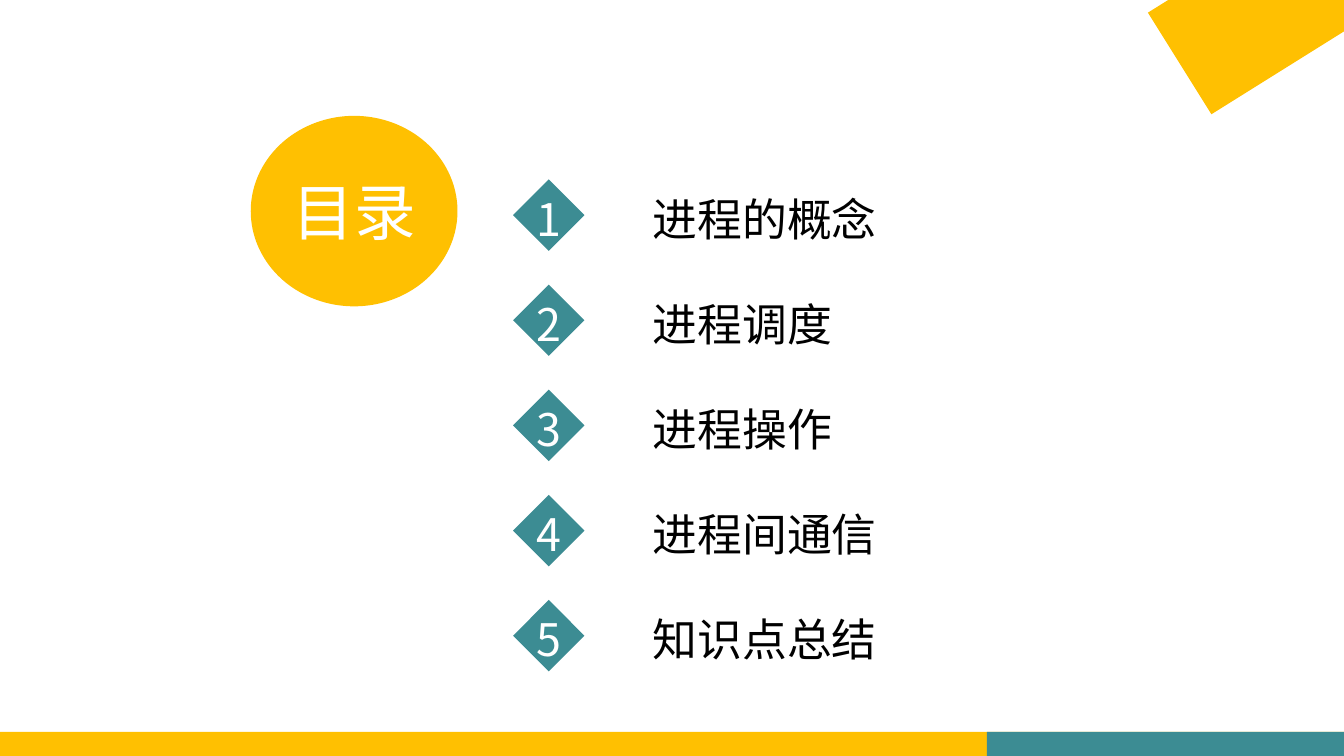
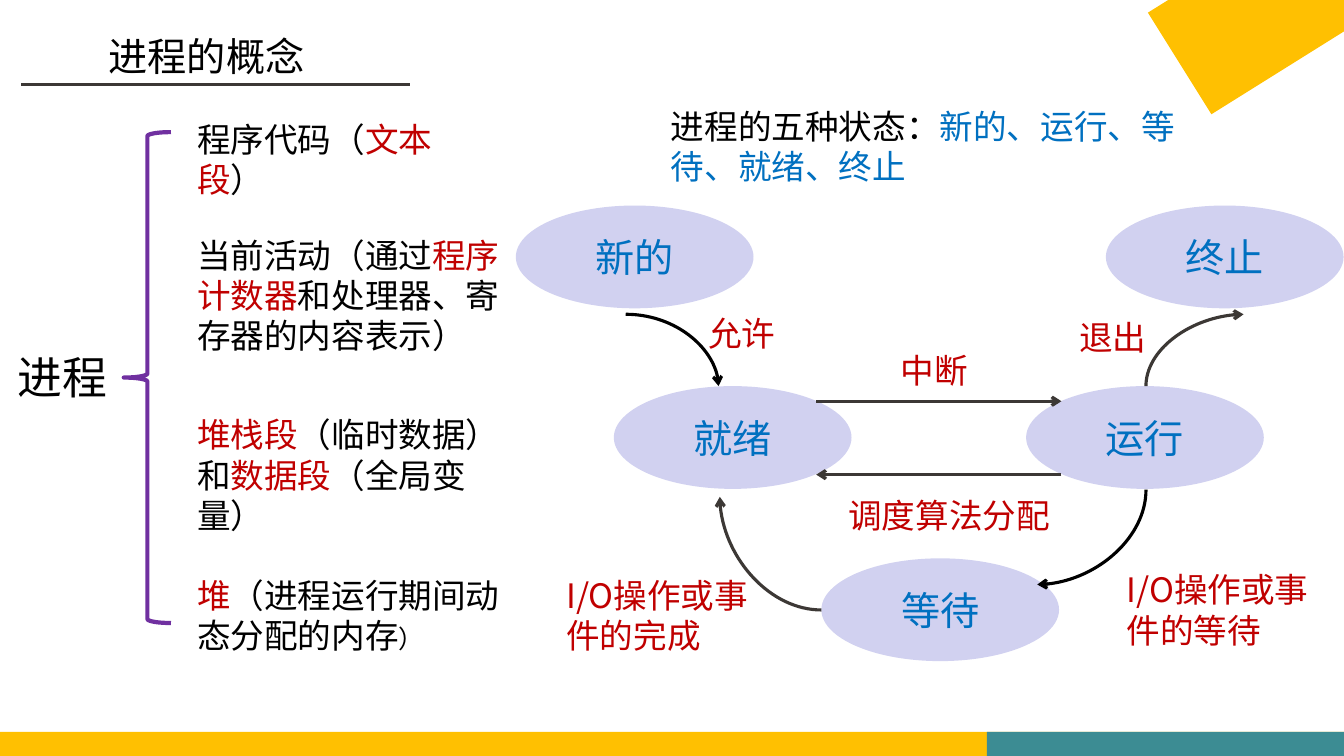
from lxml import etree
from pptx import Presentation
from pptx.dml.color import RGBColor
from pptx.enum import shapes, text
from pptx.oxml import ns
from pptx.util import Cm, Pt

GOLD = RGBColor(0xFF, 0xC0, 0x01)
TEAL = RGBColor(0x3C, 0x8C, 0x93)
LILAC = RGBColor(0xD1, 0xD1, 0xF0)
PURPLE = RGBColor(0x70, 0x30, 0xA0)
GREY = RGBColor(0x3C, 0x38, 0x35)
RED = RGBColor(0xC0, 0x00, 0x00)
BLUE = RGBColor(0x00, 0x70, 0xC0)
BLACK = RGBColor(0x00, 0x00, 0x00)
WHITE = RGBColor(0xFF, 0xFF, 0xFF)
FONT = "Noto Sans CJK SC"
KIND = shapes.MSO_SHAPE
WIDTH, HEIGHT = 33.87, 19.05

TOPICS = ["进程的概念", "进程调度", "进程操作", "进程间通信", "知识点总结"]
TOPIC_TOP, TOPIC_STEP, DIAMOND = 4.52, 2.65, 1.8

PARTS = [
    (2.87, 7.98, 2.31, [("程序代码（", BLACK), ("文本段", RED), ("）", BLACK)]),
    (5.79, 8.53, 3.33, [("当前活动（通过", BLACK), ("程序计数器", RED),
                        ("和处理器、寄存器的内容表示）", BLACK)]),
    (10.31, 8.28, 3.33, [("堆栈段", RED), ("（临时数据）和", BLACK),
                         ("数据段", RED), ("（全局变量）", BLACK)]),
    (14.35, 8.28, 2.31, [("堆", RED), ("（进程运行期间动态分配的内存", BLACK),
                         ("）", BLACK, 18)]),
]
INTRO = [("进程的五种状态：", BLACK), ("新的、运行、等待、就绪、终止", BLUE)]
STATES = [("新的", 13, 5.18), ("终止", 27.87, 5.18), ("运行", 25.86, 9.73),
          ("就绪", 15.47, 9.73), ("等待", 20.7, 14.07)]
STATE_SIZE = (5.99, 2.59)
CURVES = [
    ((15.77, 7.92), (18.11, 9.73), 0, BLACK),
    ((28.88, 12.34), (26.14, 14.73), 90, BLACK),
    ((20.7, 15.37), (18.14, 12.52), 180, GREY),
    ((28.88, 9.73), (31.34, 7.92), 270, GREY),
]
ARROWS = [((20.57, 10.11), (26.75, 10.11)), ((26.75, 11.96), (20.57, 11.96))]
LABELS = [
    ("允许", 17.6, 7.77, 2.31, 1.27),
    ("中断", 22.45, 8.69, 2.31, 1.27),
    ("调度算法分配", 21.13, 12.34, 6.15, 1.27),
    ("退出", 26.95, 7.85, 2.31, 1.27),
    ("I/O操作或事件的完成", 14.02, 14.35, 5.44, 2.31),
    ("I/O操作或事件的等待", 28.14, 14.22, 5.44, 2.31),
]


def write(sp, content, size=24, color=BLACK, font=FONT, center=False, tab=None):
    tf = sp.text_frame
    tf.word_wrap = not center
    tf.vertical_anchor = text.MSO_ANCHOR.MIDDLE if center else text.MSO_ANCHOR.TOP
    p = tf.paragraphs[0]
    p.alignment = text.PP_ALIGN.CENTER if center else text.PP_ALIGN.LEFT
    if tab:
        tabs = etree.SubElement(p._p.get_or_add_pPr(), ns.qn("a:tabLst"))
        etree.SubElement(tabs, ns.qn("a:tab"), pos=str(Cm(tab)), algn="l")
    runs = [(content, color)] if isinstance(content, str) else content
    for words, run_color, *own_size in runs:
        r = p.add_run()
        r.text = words
        r.font.size = Pt(own_size[0] if own_size else size)
        r.font.color.rgb = run_color
        r.font.name = font
        etree.SubElement(r._r.get_or_add_rPr(), ns.qn("a:ea"), typeface=FONT)


def add_text(slide, box, content, **style):
    write(slide.shapes.add_textbox(*map(Cm, box)), content, **style)


def add_shape(slide, kind, box, fill=None, line=None):
    sp = slide.shapes.add_shape(kind, *map(Cm, box))
    sp.shadow.inherit = False
    if fill is None:
        sp.fill.background()
    else:
        sp.fill.solid()
        sp.fill.fore_color.rgb = fill
    if line is None:
        sp.line.fill.background()
    else:
        sp.line.color.rgb = line
        sp.line.width = Pt(3)
    return sp


def add_line(slide, start, end, color=GREY, arrow=True, turn=None):
    kind = shapes.MSO_CONNECTOR.STRAIGHT
    if turn is not None:
        kind = shapes.MSO_CONNECTOR.CURVE
        w, h = abs(end[0] - start[0]), abs(end[1] - start[1])
        if turn % 180:
            w, h = h, w
        cx, cy = (start[0] + end[0]) / 2, (start[1] + end[1]) / 2
        start, end = (cx - w / 2, cy - h / 2), (cx + w / 2, cy + h / 2)
    line = slide.shapes.add_connector(kind, *map(Cm, start + end))
    line.line.color.rgb = color
    line.line.width = Pt(2.25)
    props = line._element.spPr
    if turn is not None:
        props.find(ns.qn("a:prstGeom")).set("prst", "curvedConnector2")
        props.find(ns.qn("a:xfrm")).set("rot", str(turn * 60000))
    if arrow:
        etree.SubElement(line.line._get_or_add_ln(), ns.qn("a:tailEnd"), type="arrow")
    etree.SubElement(props, ns.qn("a:effectLst"))


def add_slide(prs):
    slide = prs.slides.add_slide(prs.slide_layouts[6])
    band_top, teal_left = 18.44, 24.87
    band_height = HEIGHT - band_top
    add_shape(slide, KIND.RECTANGLE, (0, band_top, WIDTH, band_height), GOLD)
    add_shape(slide, KIND.RECTANGLE,
              (teal_left, band_top, WIDTH - teal_left, band_height), TEAL)
    add_shape(slide, KIND.RECTANGLE, (29.34, -1.27, 5.13, 3.02), GOLD).rotation = 328
    return slide


def build_contents(prs):
    slide = add_slide(prs)
    circle = add_shape(slide, KIND.OVAL, (6.32, 2.92, 5.21, 4.8), GOLD)
    write(circle, "目录", size=44, color=WHITE, font="Arial", center=True)
    for i, topic in enumerate(TOPICS):
        top = TOPIC_TOP + i * TOPIC_STEP
        add_shape(slide, KIND.DIAMOND, (12.93, top, DIAMOND, DIAMOND), TEAL)
        add_text(slide, (13.28, top + 0.18, 15.19, 1.63),
                 [(f"{i + 1}\t", WHITE), (topic, BLACK)], size=32, tab=2.92)


def build_concept(prs):
    slide = add_slide(prs)
    add_line(slide, (0.53, 2.13), (10.34, 2.13), arrow=False)
    add_text(slide, (2.49, 0.69, 5.89, 1.45), TOPICS[0], size=28)
    add_text(slide, (0.2, 8.69, 2.92, 1.63), "进程", size=32)
    add_shape(slide, KIND.LEFT_BRACE, (3.12, 3.33, 1.19, 12.37), line=PURPLE)
    for top, width, height, runs in PARTS:
        add_text(slide, (4.72, top, width, height), runs)
    for name, left, top in STATES:
        state = add_shape(slide, KIND.OVAL, (left, top) + STATE_SIZE, LILAC)
        write(state, name, size=28, color=BLUE, center=True)
    add_text(slide, (16.66, 2.54, 13.9, 2.31), INTRO)
    for start, end, turn, color in CURVES:
        add_line(slide, start, end, color, turn=turn)
    for start, end in ARROWS:
        add_line(slide, start, end)
    for label, *box in LABELS:
        add_text(slide, box, label, color=RED)


def main():
    prs = Presentation()
    prs.slide_width, prs.slide_height = Cm(WIDTH), Cm(HEIGHT)
    build_contents(prs)
    build_concept(prs)
    prs.save("out.pptx")


if __name__ == "__main__":
    main()
